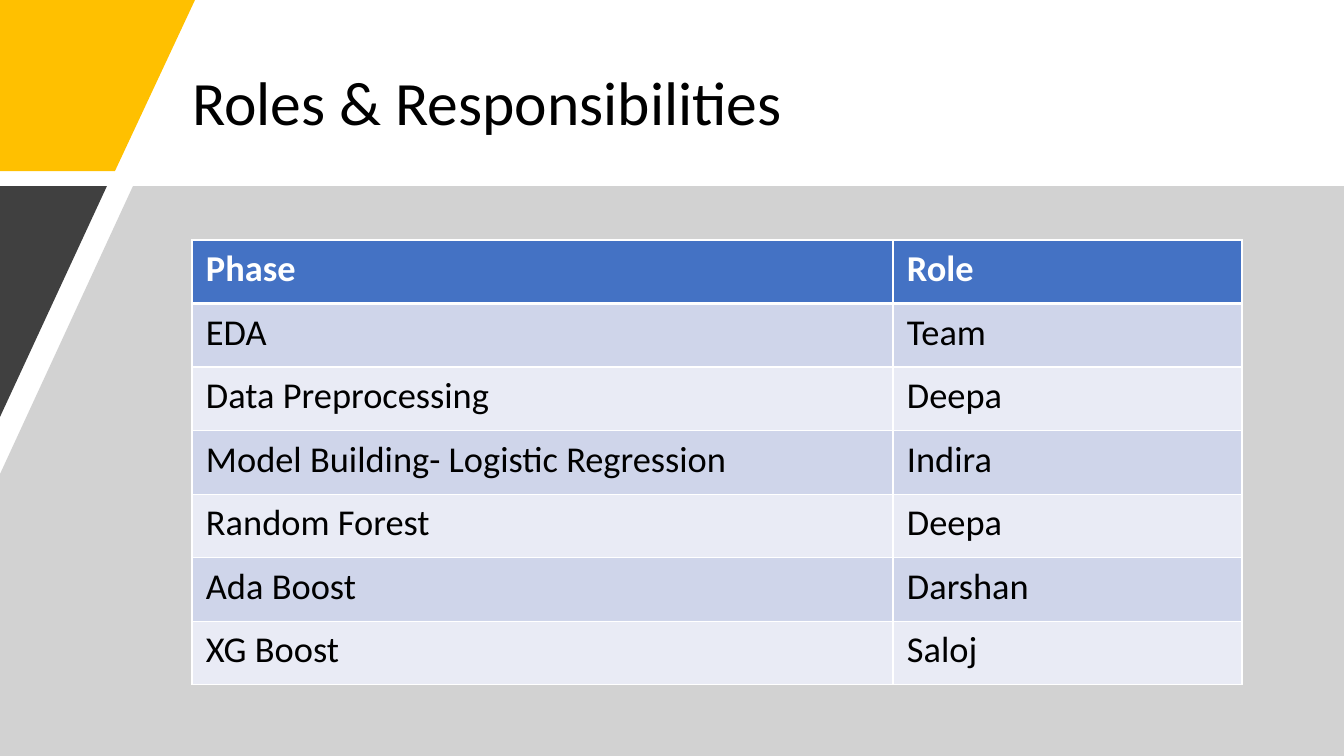
import dataclasses

import lxml.etree
import pptx
import pptx.dml.color
import pptx.enum.text
import pptx.oxml.ns
import pptx.util

PX = 12192000 / 1344  # EMU per pixel
qn = pptx.oxml.ns.qn


@dataclasses.dataclass(frozen=True)
class Theme:
    """Colours, font and type sizes of the slide."""
    font: str = "Calibri"
    title_size: int = 44
    table_size: int = 26
    text: str = "000000"
    white: str = "FFFFFF"
    accent: str = "FFC000"
    dark: str = "404040"
    panel: str = "A6A6A6"
    header: str = "4472C4"
    bands: tuple = ("CFD5EA", "E9EBF5")


theme = Theme()
rgb = pptx.dml.color.RGBColor.from_string


def px(n):
    """Convert pixels to EMU."""
    return pptx.util.Emu(round(n * PX))


def style(p, size, color, bold=False):
    """Format every run of a paragraph."""
    for r in p.runs:
        r.font.name = theme.font
        r.font.size = pptx.util.Pt(size)
        r.font.bold = bold
        r.font.color.rgb = rgb(color)


prs = pptx.Presentation()
prs.slide_width, prs.slide_height = px(1344), px(756)
s = prs.slides.add_slide(prs.slide_layouts[5])

# Slanted background blocks
blocks = [
    (theme.accent, 100, [(0, 0), (195, 0), (115, 171), (0, 171)]),
    (theme.panel, 50, [(133, 186), (1344, 186), (1344, 756), (0, 756), (0, 474)]),
    (theme.dark, 100, [(0, 186), (107, 186), (0, 417)]),
]
for color, opacity, points in blocks:
    builder = s.shapes.build_freeform(*points[0], scale=PX)
    builder.add_line_segments(points[1:], close=True)
    sp = builder.convert_to_shape()
    sp.shadow.inherit = False
    sp.line.fill.background()
    sp.fill.solid()
    sp.fill.fore_color.rgb = rgb(color)
    if opacity < 100:
        clr = sp.fill._xPr.find(".//" + qn("a:srgbClr"))
        lxml.etree.SubElement(clr, qn("a:alpha"), val=str(opacity * 1000))

# Title
title = s.shapes.title
title.left, title.top, title.width, title.height = px(182), px(40), px(1032), px(131)
tf = title.text_frame
tf.text = "Roles & Responsibilities"
tf.word_wrap = True
tf.auto_size = pptx.enum.text.MSO_AUTO_SIZE.NONE
tf.vertical_anchor = pptx.enum.text.MSO_ANCHOR.MIDDLE
p = tf.paragraphs[0]
p.alignment = pptx.enum.text.PP_ALIGN.LEFT
p.line_spacing = 0.9
style(p, theme.title_size, theme.text)

# Roles table
roles = [
    ("Phase", "Role"),
    ("EDA", "Team"),
    ("Data Preprocessing", "Deepa"),
    ("Model Building- Logistic Regression", "Indira"),
    ("Random Forest", "Deepa"),
    ("Ada Boost", "Darshan"),
    ("XG Boost", "Saloj"),
]
table = s.shapes.add_table(len(roles), 2, px(192), px(240), px(1050), px(445)).table
for column, width in zip(table.columns, (701, 349)):
    column.width = px(width)

for i, row in enumerate(roles):
    is_header = i == 0
    for j, text in enumerate(row):
        cell = table.cell(i, j)
        cell.text = text
        cell.margin_left = cell.margin_right = px(14)
        cell.margin_top = cell.margin_bottom = px(7)
        style(cell.text_frame.paragraphs[0], theme.table_size,
              theme.white if is_header else theme.text, is_header)
        tcPr = cell._tc.get_or_add_tcPr()
        for side in "LRTB":
            thick = (is_header and side == "B") or (i == 1 and side == "T")
            width = pptx.util.Pt(3 if thick else 1)
            ln = lxml.etree.SubElement(tcPr, qn("a:ln" + side), w=str(int(width)))
            fill = lxml.etree.SubElement(ln, qn("a:solidFill"))
            lxml.etree.SubElement(fill, qn("a:srgbClr"), val=theme.white)
        cell.fill.solid()
        cell.fill.fore_color.rgb = rgb(theme.header if is_header else theme.bands[(i - 1) % 2])

prs.save("out.pptx")
